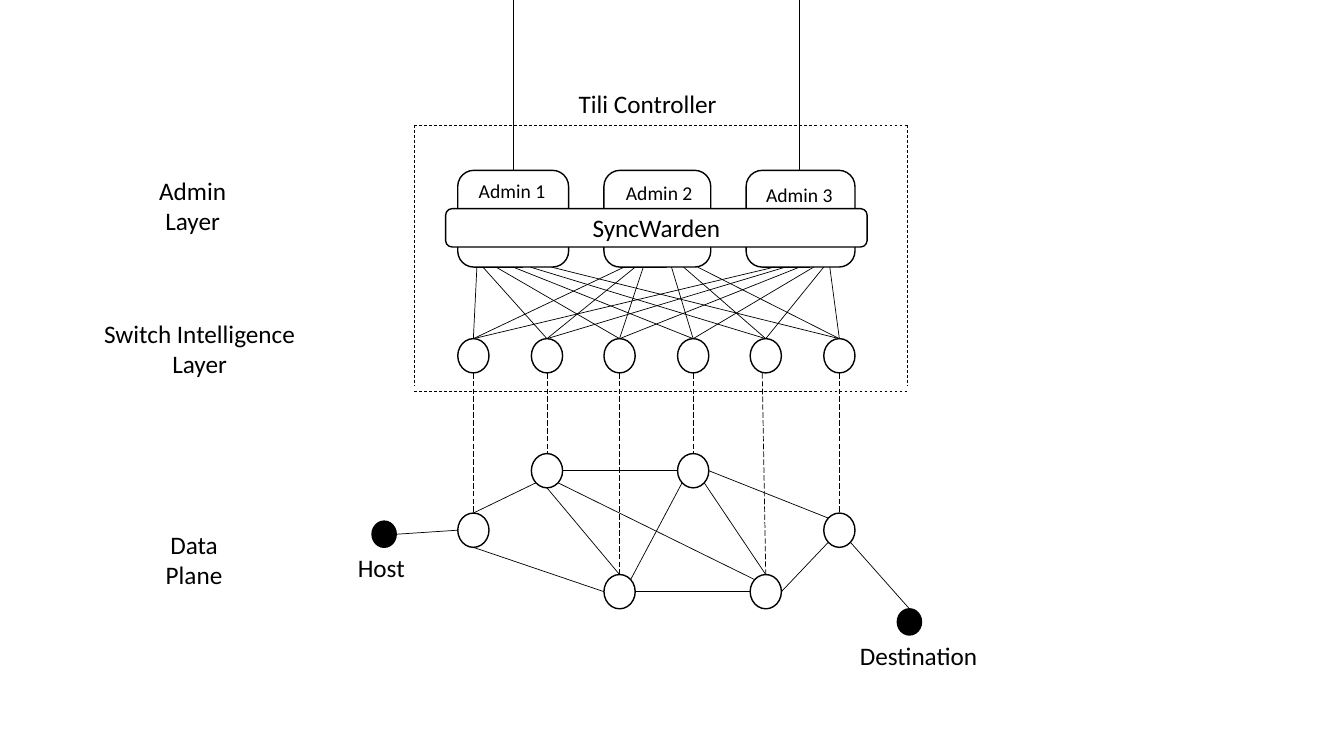
"""Build a slide of a layered network controller above its data plane."""
from lxml.etree import SubElement
from pptx import Presentation
from pptx.dml.color import RGBColor
from pptx.enum.dml import MSO_LINE as Dash
from pptx.enum.shapes import MSO_CONNECTOR as Connector, MSO_SHAPE as Shape
from pptx.enum.text import MSO_ANCHOR as Anchor, MSO_AUTO_SIZE as AutoSize, PP_ALIGN as Align
from pptx.oxml.ns import qn
from pptx.util import Inches, Pt

THEME = {
    "font": "Calibri",
    "black": RGBColor(0, 0, 0),
    "white": RGBColor(255, 255, 255),
    "label": Pt(18),
    "admin": Pt(14),
    "outline": Pt(1),
    "link": Pt(0.5),
}

presentation = Presentation()
presentation.slide_width, presentation.slide_height = Inches(13.33), Inches(7.5)
slide = presentation.slides.add_slide(presentation.slide_layouts[6])


def add_box(kind, left, top, width, height, fill="white"):
    shape = slide.shapes.add_shape(kind, *map(Inches, (left, top, width, height)))
    shape.shadow.inherit = False
    shape.fill.solid()
    shape.fill.fore_color.rgb = THEME[fill]
    shape.line.color.rgb = THEME["black"]
    shape.line.width = THEME["outline"]
    return shape


def add_link(start, end, dash=None):
    connector = slide.shapes.add_connector(Connector.STRAIGHT, *map(Inches, (*start, *end)))
    connector.line.color.rgb = THEME["black"]
    connector.line.width = THEME["link"]
    if dash:
        connector.line.dash_style = dash
    SubElement(connector._element.spPr, qn("a:effectLst"))


node_width, node_height = 0.31, 0.34
switch_top = 3.36
node_tops = [5.09, 4.5, 5.7, 4.5, 5.7, 5.09]
lefts = [round(4.54 + 0.726 * column, 2) for column in range(6)]
centers = [left + node_width / 2 for left in lefts]
for top in [switch_top] * 6, node_tops:
    for left, node_top in zip(lefts, top):
        add_box(Shape.OVAL, left, node_top, node_width, node_height)

for left, top in (8.9, 6.04), (3.69, 5.17):
    add_box(Shape.OVAL, left, top, 0.24, 0.26, "black")

admin_top, admin_height = 1.69, 0.96
for left, width in (4.54, 1.1), (5.99, 1.06), (7.4, 1.08):
    add_box(Shape.ROUNDED_RECTANGLE, left, admin_top, width, admin_height)

frame_left, frame_right, frame_top, frame_bottom = 4.11, 9.02, 1.24, 3.88
for y in frame_top, frame_bottom:
    add_link((frame_left, y), (frame_right, y), Dash.DASH)
for x in frame_left, 9:
    add_link((x, frame_top), (x, 3.82), Dash.DASH)

coordinator = add_box(Shape.ROUNDED_RECTANGLE, 4.42, 2.07, 4.18, 0.38)
coordinator.text_frame.text = "SyncWarden"
coordinator.text_frame.vertical_anchor = Anchor.MIDDLE
coordinator_paragraph = coordinator.text_frame.paragraphs[0]
coordinator_paragraph.alignment = Align.CENTER
coordinator_paragraph.font.size = THEME["label"]
coordinator_paragraph.font.name = THEME["font"]
coordinator_paragraph.font.color.rgb = THEME["black"]

admin_ports = [
    [4.73, 4.79, 4.92, 5.09, 5.26, 5.47],
    [6.19, 6.3, 6.38, 6.66, 6.78, 6.92],
    [7.68, 7.79, 7.93, 8.07, 8.17, 8.23],
]
for ports in admin_ports:
    for port, center in zip(ports, centers):
        add_link((port, admin_top + admin_height), (center, switch_top))

sides = {
    "top": (0, -0.17), "bottom": (0, 0.17), "left": (-0.155, 0), "right": (0.155, 0),
    "upper left": (-0.11, -0.12), "upper right": (0.11, -0.12),
    "lower left": (-0.11, 0.12), "lower right": (0.11, 0.12),
}
ports = {
    (column, side): (centers[column] + dx, node_tops[column] + node_height / 2 + dy)
    for column in range(6)
    for side, (dx, dy) in sides.items()
}
data_links = [
    (0, "top", 1, "lower left"), (0, "bottom", 2, "left"),
    (1, "right", 3, "left"), (1, "bottom", 2, "top"),
    (1, "lower right", 4, "upper left"), (2, "right", 4, "left"),
    (2, "upper right", 3, "lower left"), (3, "lower right", 4, "top"),
    (3, "right", 5, "upper left"), (4, "right", 5, "lower left"),
]
for first, first_side, second, second_side in data_links:
    add_link(ports[first, first_side], ports[second, second_side])
add_link((3.93, 5.3), ports[0, "left"])
add_link(ports[5, "lower right"], (9.02, 6.04))

switch_exits = centers[:4] + [7.56] + centers[5:]
for column, x in enumerate(switch_exits):
    add_link((x, switch_top + node_height), ports[column, "top"], Dash.LONG_DASH)

for x in 5.09, 7.93:
    add_link((x, 0), (x, admin_top))

left_one, center_two = [Align.LEFT], [Align.CENTER, Align.CENTER]
labels = [
    ("Tili Controller", 5.64, 0.83, 1.69, 0.4, "label", False, left_one),
    ("Admin\nLayer", 1.48, 1.69, 0.87, 0.71, "label", False, [Align.LEFT, Align.CENTER]),
    ("Host", 3.45, 5.43, 0.82, 0.4, "label", True, left_one),
    ("Destination", 8.43, 6.3, 1.38, 0.4, "label", False, left_one),
    ("Admin 1", 4.65, 1.73, 0.87, 0.34, "admin", False, left_one),
    ("Admin 2", 6.11, 1.75, 0.87, 0.34, "admin", False, left_one),
    ("Admin 3", 7.5, 1.77, 0.87, 0.34, "admin", False, left_one),
    ("Data\nPlane", 1.54, 5.2, 0.77, 0.71, "label", False, center_two),
    ("Switch Intelligence\nLayer", 0.91, 3.11, 2.14, 0.71, "label", True, center_two),
]
for text, left, top, width, height, size, wrap, alignments in labels:
    text_frame = slide.shapes.add_textbox(*map(Inches, (left, top, width, height))).text_frame
    text_frame.word_wrap = wrap
    text_frame.auto_size = AutoSize.SHAPE_TO_FIT_TEXT
    text_frame.text = text
    for paragraph, alignment in zip(text_frame.paragraphs, alignments):
        paragraph.alignment = alignment
        for run in paragraph.runs:
            run.font.name = THEME["font"]
            run.font.size = THEME[size]
            run.font.color.rgb = THEME["black"]

presentation.save("out.pptx")
